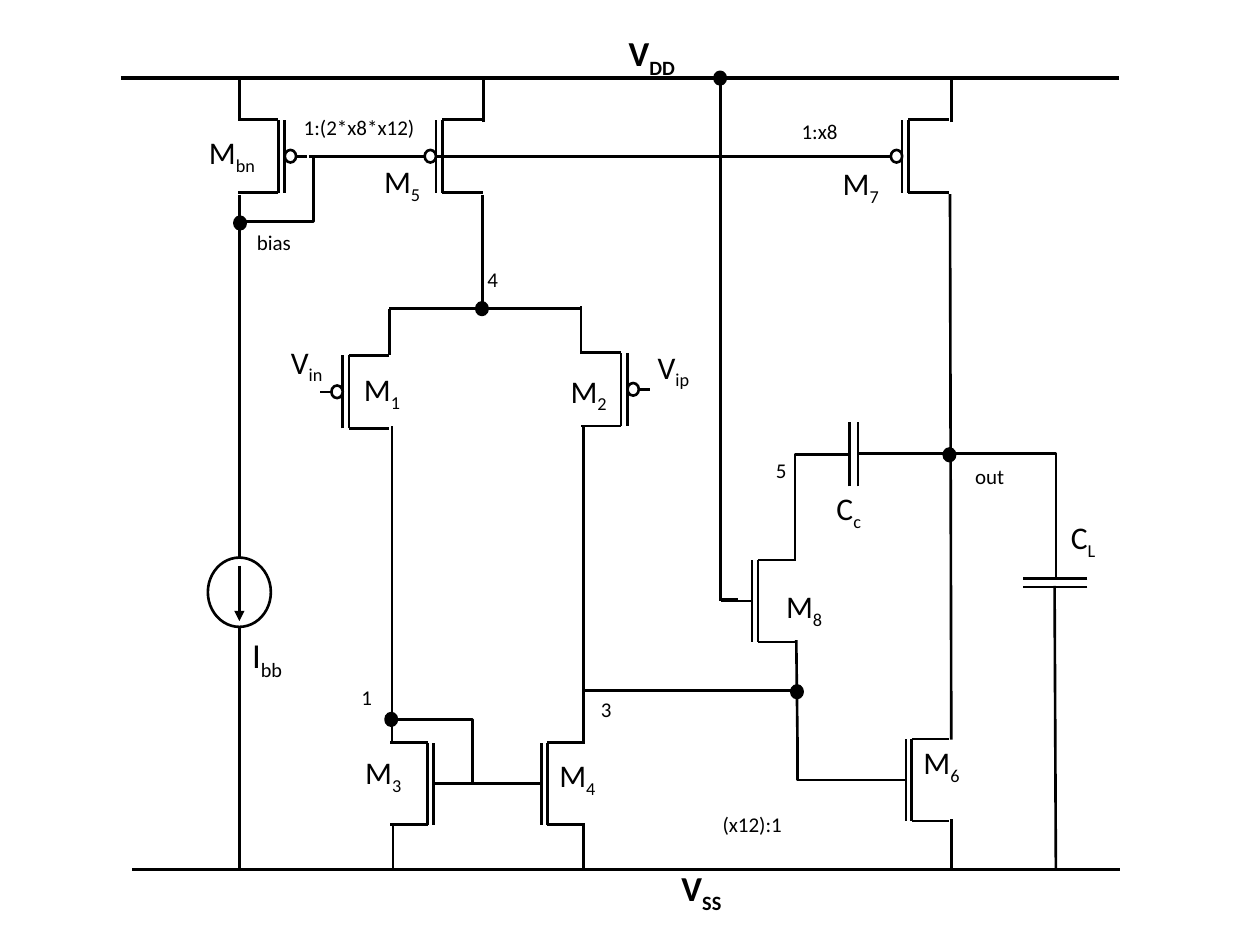
from lxml import etree
from pptx import Presentation
from pptx.dml.color import RGBColor
from pptx.enum.shapes import MSO_CONNECTOR as LINK, MSO_SHAPE as FORM
from pptx.enum.text import MSO_AUTO_SIZE as FIT, PP_ALIGN as ALIGN
from pptx.oxml.ns import qn
from pptx.util import Inches, Pt

COLS, ROWS = 100, 75
HEX = {"ink": "000000", "paper": "FFFFFF"}


class Board:
    """Draws circuit parts; all lengths are grid columns and rows."""

    font = "Calibri"
    thin, thick = 1.5, 2
    dot_w, dot_h = 0.9, 1

    def __init__(self, deck):
        self.slide = deck.slides.add_slide(deck.slide_layouts[6])
        self.shapes = self.slide.shapes
        self.col = deck.slide_width / COLS
        self.row = deck.slide_height / ROWS

    def spot(self, x, y):
        return round(x * self.col), round(y * self.row)

    def hue(self, name):
        return RGBColor.from_string(HEX[name])

    def pen(self, item, width):
        item.line.color.rgb = self.hue("ink")
        item.line.width = Pt(width)

    def wire(self, x1, y1, x2, y2, home=None, width=thin, arrow=False):
        home = home or self.shapes
        line = home.add_connector(LINK.STRAIGHT, *self.spot(x1, y1), *self.spot(x2, y2))
        self.pen(line, width)
        if arrow:
            ln = line.line._get_or_add_ln()
            etree.SubElement(ln, qn("a:tailEnd"), type="triangle")
        etree.SubElement(line._element.spPr, qn("a:effectLst"))

    def bend(self, *points):
        first, *rest = [self.spot(*p) for p in points]
        form = self.shapes.build_freeform(*first)
        form.add_line_segments(rest, close=False)
        item = form.convert_to_shape()
        item.shadow.inherit = False
        item.fill.background()
        self.pen(item, self.thin)

    def oval(self, x, y, w=dot_w, h=dot_h, fill="ink", home=None):
        """An ellipse centred on x, y."""
        home = home or self.shapes
        item = home.add_shape(FORM.OVAL, *self.spot(x - w / 2, y - h / 2), *self.spot(w, h))
        item.shadow.inherit = False
        item.fill.solid()
        item.fill.fore_color.rgb = self.hue(fill)
        self.pen(item, self.thin)

    def gate(self, x, y, side, half, gap, leg, lead, ring=False):
        """A transistor: side is 1 with its channel to the right, -1 to the left."""
        home = self.shapes.add_group_shape().shapes
        inner = x + side * gap
        for plate in (x, inner):
            self.wire(plate, y + half, plate, y - half, home)
        for end in (y + half, y - half):
            self.wire(inner, end, inner + side * leg, end, home)
        self.wire(x, y, x - side * lead, y, home)
        if ring:
            self.oval(x - side * 0.45, y, fill="paper", home=home)

    def plates(self, *ends):
        """The two parallel lines of a capacitor."""
        home = self.shapes.add_group_shape().shapes
        for end in ends:
            self.wire(*end, home)

    def source(self, x, y):
        """A current source with a downward arrow."""
        home = self.shapes.add_group_shape().shapes
        self.wire(x, y - 5.2, x, y + 5.7, home)
        self.oval(x, y, 5, 5.5, "paper", home)
        self.wire(x, y - 2.1, x, y + 2.3, home, arrow=True)

    def label(self, x, y, w, main, sub="", size=18, bold=False, mid=False, wrap=True):
        tall = {12: 3, 18: 4, 20: 4.3}[size]
        box = self.shapes.add_textbox(*self.spot(x, y), *self.spot(w, tall))
        frame = box.text_frame
        frame.word_wrap = wrap
        frame.auto_size = FIT.SHAPE_TO_FIT_TEXT
        para = frame.paragraphs[0]
        para.alignment = ALIGN.CENTER if mid else ALIGN.LEFT
        font = para.font
        font.name, font.size, font.bold = self.font, Pt(size), bold
        font.color.rgb = self.hue("ink")
        para.add_run().text = main
        if sub:
            run = para.add_run()
            run.text = sub
            run.font._element.set("baseline", "-25000")


WIRES = [
    # bias branch
    (19, 9.6, 19, 6), (19, 44.6, 19, 15.5), (19, 52, 19, 68.9),
    # gate line and tail current
    (24.5, 12.4, 70.2, 12.4), (38.4, 9.7, 38.4, 6.1), (38.3, 24.5, 38.3, 15.5),
    # input pair and load
    (30.9, 24.5, 46.1, 24.5), (30.9, 28.2, 30.9, 24.5), (46.1, 28.1, 46.1, 24.3),
    (31.1, 59, 31.1, 33.8), (31.2, 68.9, 31.2, 65.4),
    (46.3, 58.9, 46.3, 33.7), (46.3, 68.9, 46.3, 65.4), (36.8, 62.2, 41, 62.2),
    # compensation
    (57.2, 47.7, 57.2, 6), (58.6, 47.6, 57.1, 47.6), (63.2, 50.8, 63.3, 59.4),
    (63.4, 54.8, 46.2, 54.8), (68.2, 36, 75.5, 36),
    # output branch
    (75.5, 9.7, 75.5, 6.1), (75.5, 58.7, 75.4, 15.4), (75.5, 68.9, 75.5, 65),
    (83.8, 69, 83.7, 46.5),
]
BENDS = [
    [(37.5, 62.3), (37.5, 57.1), (31.6, 57.1)],
    [(24.9, 12.4), (24.9, 17.6), (19, 17.6)],
    [(69.8, 61.9), (63.3, 61.9), (63.3, 59)],
    [(63.1, 44.5), (63.1, 36.1), (67.3, 36.1)],
    [(75.5, 36), (83.8, 36), (83.8, 45.8)],
]
DOTS = [(31.05, 57.1), (57.15, 6.2), (63.25, 54.9), (38.25, 24.5), (19.05, 17.7), (75.35, 36.1)]

PMOS = dict(half=2.9, gap=0.5, leg=3.2, lead=1.8, ring=True)
NMOS = dict(half=3.25, gap=0.45, leg=3, lead=2.5)
UPPER = [(27.2, 31.1, 1), (49.8, 30.9, -1), (22.6, 12.4, -1), (34.6, 12.4, 1), (71.6, 12.4, 1)]
LOWER = [(59.7, 47.7, 1), (71.9, 61.9, 1), (43, 62.2, 1), (34.4, 62.2, -1)]

NAMES = [
    (84, 40.6, 5.2, "C", "L"), (65.4, 38.3, 6.2, "C", "c"),
    (72.3, 58.5, 8.8, "M", "6"), (43.4, 59.5, 7.2, "M", "4"),
    (28, 59.3, 8.3, "M", "3"), (61.4, 46.1, 7.2, "M", "8"),
    (51.2, 27.1, 5.2, "V", "ip"), (22.1, 26.7, 5.4, "V", "in"),
]
SNUG = [
    (65.9, 12.5, 5, "M", "7"), (27.9, 28.9, 5, "M", "1"), (15.6, 10.1, 5.9, "M", "bn"),
    (29.5, 12.4, 5, "M", "5"), (44.3, 29, 5, "M", "2"),
]
NODES = [
    (27.7, 53.8, 3.6, "1"), (37.7, 20.7, 3.7, "4"), (60.6, 35.8, 3.5, "5"),
    (46.7, 54.8, 5.4, "3"), (19.4, 17.7, 6.2, "bias"), (76.4, 36.3, 4.7, "out"),
]
RATIOS = [
    (59.9, 8.9, 10.3, "1:x8"), (22.1, 8.6, 12.8, "1:(2*x8*x12)"), (53.3, 63.9, 12.8, "(x12):1"),
]


def main():
    deck = Presentation()
    deck.slide_width, deck.slide_height = Inches(10), Inches(7.5)
    board = Board(deck)

    # Supply rails
    board.wire(9.6, 6.2, 88.8, 6.2, width=board.thick)
    board.wire(10.5, 69, 88.9, 69, width=board.thick)

    # Wiring
    for ends in WIRES:
        board.wire(*ends)
    for points in BENDS:
        board.bend(*points)

    # Parts
    board.source(19, 47)
    board.plates((68.1, 38.6, 68.1, 33.5), (67.4, 38.6, 67.4, 33.5))
    board.plates((86.3, 45.9, 81.2, 45.9), (86.3, 46.6, 81.2, 46.6))
    for place in UPPER:
        board.gate(*place, **PMOS)
    for place in LOWER:
        board.gate(*place, **NMOS)
    for place in DOTS:
        board.oval(*place)

    # Labels
    board.label(48.9, 2, 9.9, "V", "DD", size=20, bold=True)
    board.label(53.1, 68.3, 9.9, "V", "SS", size=20, bold=True)
    board.label(18.4, 49.8, 5.6, "I", "bb", size=20, mid=True)
    for name in NAMES:
        board.label(*name)
    for name in SNUG:
        board.label(*name, wrap=False)
    for node in NODES:
        board.label(*node, size=12)
    for ratio in RATIOS:
        board.label(*ratio, size=12, mid=True)

    deck.save("out.pptx")


if __name__ == "__main__":
    main()
